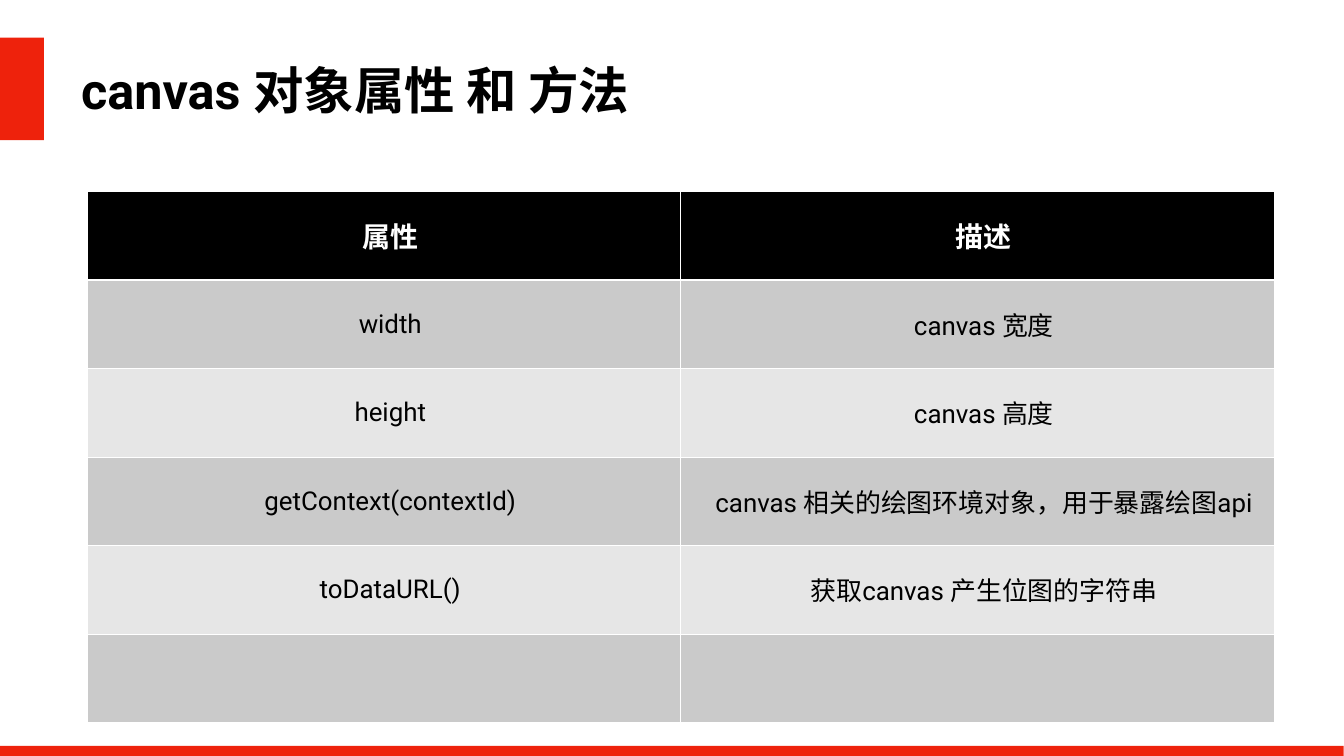
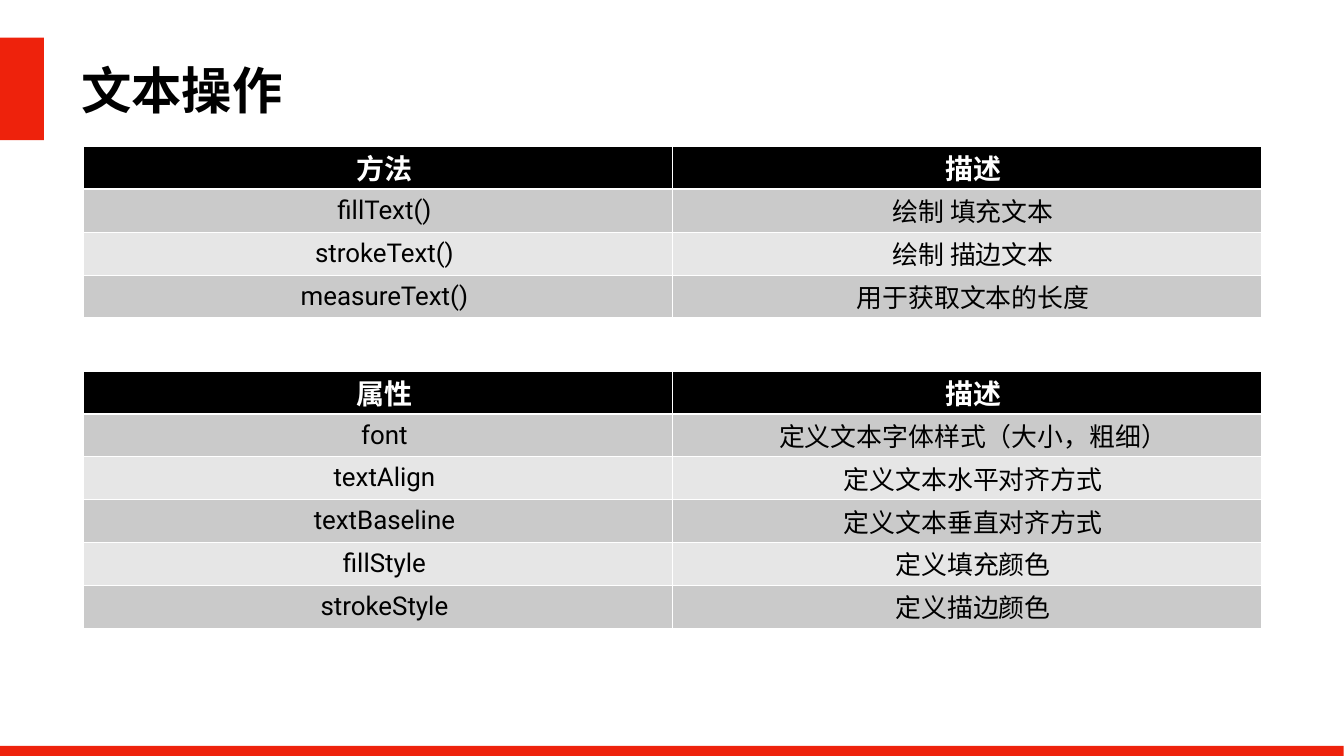
from lxml import etree
from pptx import Presentation
from pptx.dml.color import RGBColor
from pptx.enum.shapes import MSO_SHAPE
from pptx.enum.text import MSO_ANCHOR, PP_ALIGN
from pptx.oxml.ns import qn
from pptx.util import Cm, Pt

RECTANGLE = MSO_SHAPE.RECTANGLE
MIDDLE = MSO_ANCHOR.MIDDLE
CENTER = PP_ALIGN.CENTER

FONT = "Roboto"
RED = "EE220C"
BLACK = "000000"
WHITE = "FFFFFF"
ROW_FILLS = ["CACACA", "E6E6E6"]
BANDS = [(-0.13, 1.9, 2.34, 5.16), (0, 37.59, 67.72, 1.27)]

SLIDES = [
    ("canvas 对象属性 和 方法", [
        (4.39, 9.65, 29.92, 4.46, [
            ("属性", "描述"),
            ("width", "canvas 宽度"),
            ("height", "canvas 高度"),
            ("getContext(contextId)", "canvas 相关的绘图环境对象，用于暴露绘图api"),
            ("toDataURL()", "获取canvas 产生位图的字符串"),
            ("", ""),
        ]),
    ]),
    ("文本操作", [
        (4.22, 7.37, 29.67, 2.16, [
            ("方法", "描述"),
            ("fillText()", "绘制 填充文本"),
            ("strokeText()", "绘制 描边文本"),
            ("measureText()", "用于获取文本的长度"),
        ]),
        (4.22, 18.69, 29.67, 2.16, [
            ("属性", "描述"),
            ("font", "定义文本字体样式（大小，粗细）"),
            ("textAlign", "定义文本水平对齐方式"),
            ("textBaseline", "定义文本垂直对齐方式"),
            ("fillStyle", "定义填充颜色"),
            ("strokeStyle", "定义描边颜色"),
        ]),
    ]),
]


def color(hex_string):
    return RGBColor.from_string(hex_string)


def add_run(paragraph, text, size, hex_string, bold):
    run = paragraph.add_run()
    run.text = text
    run.font.name = FONT
    run.font.size = Pt(size)
    run.font.bold = bold
    run.font.color.rgb = color(hex_string)


deck = Presentation()
deck.slide_width = Cm(67.74)
deck.slide_height = Cm(38.1)

for heading, tables in SLIDES:
    slide = deck.slides.add_slide(deck.slide_layouts[6])
    slide.background.fill.solid()
    slide.background.fill.fore_color.rgb = color(WHITE)

    title = slide.shapes.add_textbox(Cm(3.94), Cm(2.59), Cm(56.03), Cm(3.81)).text_frame
    title.word_wrap = True
    title.vertical_anchor = MIDDLE
    title.margin_left = title.margin_right = Cm(0.15)
    title.margin_top = title.margin_bottom = Cm(0.15)
    add_run(title.paragraphs[0], heading, 72, BLACK, True)

    for bounds in BANDS:
        band = slide.shapes.add_shape(RECTANGLE, *[Cm(length) for length in bounds])
        band.shadow.inherit = False
        band.fill.solid()
        band.fill.fore_color.rgb = color(RED)
        band.line.fill.background()

    for left, top, column_width, row_height, entries in tables:
        table = slide.shapes.add_table(
            len(entries), 2, Cm(left), Cm(top),
            Cm(2 * column_width), Cm(row_height * len(entries))).table
        for row, entry in enumerate(entries):
            header = row == 0
            for column, text in enumerate(entry):
                cell = table.cell(row, column)
                cell.vertical_anchor = MIDDLE
                cell.margin_left = cell.margin_right = 0
                cell.margin_top = cell.margin_bottom = 0

                properties = cell._tc.get_or_add_tcPr()
                for side in "LRTB":
                    under_header = (row, side) in [(0, "B"), (1, "T")]
                    border = etree.SubElement(properties, qn(f"a:ln{side}"),
                                              w=str(Pt(3 if under_header else 1)))
                    stroke = etree.SubElement(border, qn("a:solidFill"))
                    etree.SubElement(stroke, qn("a:srgbClr"), val=WHITE)
                cell.fill.solid()
                cell.fill.fore_color.rgb = color(BLACK if header else ROW_FILLS[(row - 1) % 2])

                if text:
                    paragraph = cell.text_frame.paragraphs[0]
                    paragraph.alignment = CENTER
                    indents = paragraph._p.get_or_add_pPr()
                    indents.set("marL", "0")
                    indents.set("indent", str(Cm(0.64)))
                    add_run(paragraph, text, 40 if header else 37,
                            WHITE if header else BLACK, header)

deck.save("out.pptx")
